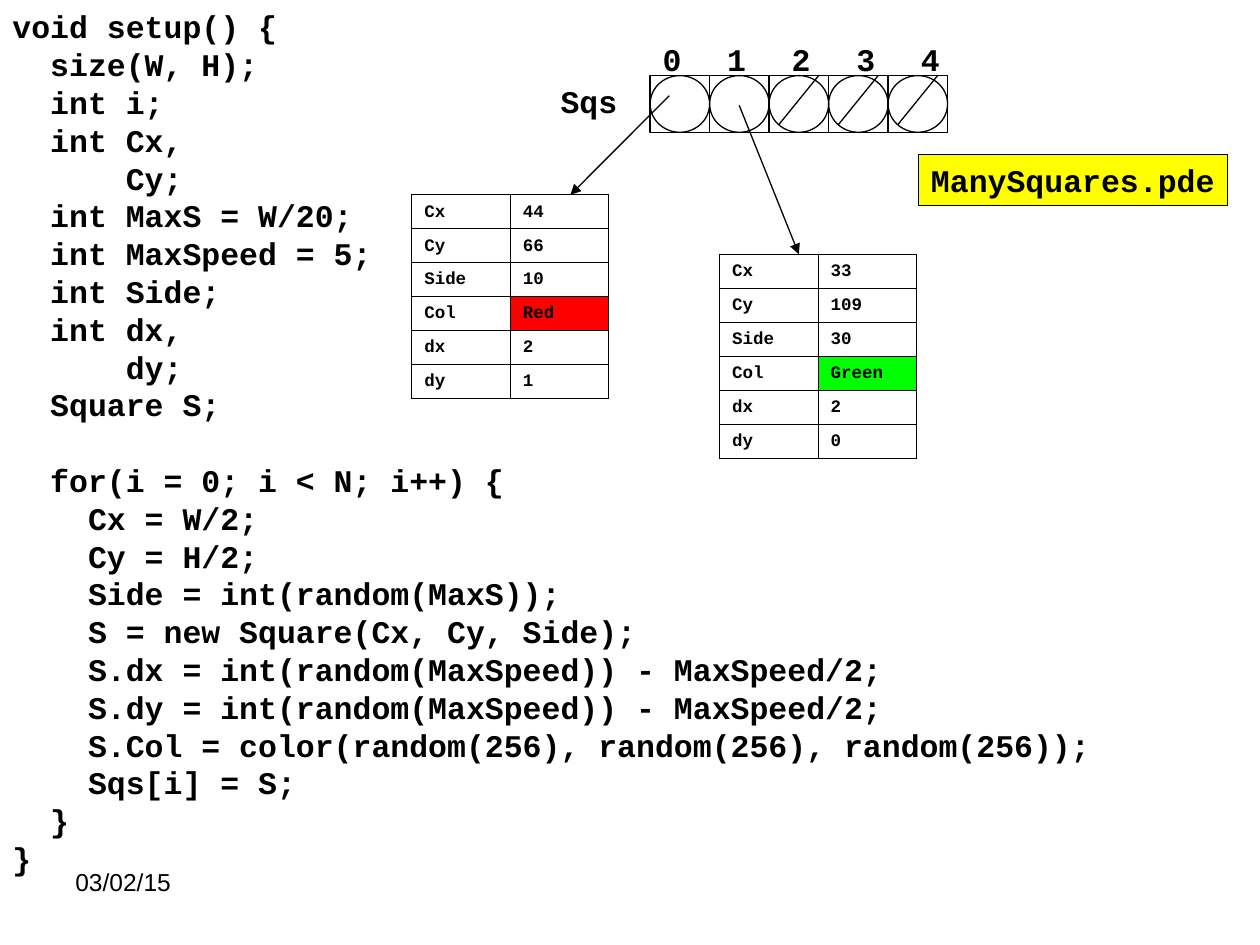
"""Build the slide on an array of squares filled by setup()."""
from dataclasses import dataclass

from lxml import etree
from pptx import Presentation
from pptx.dml.color import RGBColor
from pptx.enum.shapes import MSO_CONNECTOR, MSO_SHAPE
from pptx.enum.text import MSO_ANCHOR, MSO_AUTO_SIZE, PP_ALIGN
from pptx.oxml.ns import qn
from pptx.util import Pt

STRAIGHT = MSO_CONNECTOR.STRAIGHT
RECTANGLE, OVAL = MSO_SHAPE.RECTANGLE, MSO_SHAPE.OVAL
TOP, BOTTOM = MSO_ANCHOR.TOP, MSO_ANCHOR.BOTTOM
FIT_SHAPE, LEFT = MSO_AUTO_SIZE.SHAPE_TO_FIT_TEXT, PP_ALIGN.LEFT


@dataclass(frozen=True)
class Theme:
    """Colours, fonts and sizes in points."""
    ink: str = "000000"
    badge: str = "FFFF00"
    red: str = "FF0000"
    green: str = "00FF00"
    code_font: str = "Courier New"
    date_font: str = "Arial"
    code_size: float = 18
    date_size: float = 14
    field_size: float = 10
    code_leading: float = 21.6
    char_width: float = 10.8
    outline: float = 0.75
    border: float = 0.45


@dataclass(frozen=True)
class Box:
    """A frame in points."""
    left: float
    top: float
    width: float
    height: float

    def lengths(self) -> tuple:
        """Return the frame as slide lengths."""
        return tuple(map(Pt, (self.left, self.top, self.width, self.height)))


@dataclass(frozen=True)
class Square:
    """The field values of one Square object and its table position."""
    left: float
    top: float
    values: tuple
    colour: str


@dataclass(frozen=True)
class Line:
    """A line between two points, with or without an arrowhead."""
    start: tuple
    end: tuple
    arrow: bool = False


THEME = Theme()
FIELDS = ("Cx", "Cy", "Side", "Col", "dx", "dy")
RED_SQUARE = Square(235.3, 111.3, ("44", "66", "10", "Red", "2", "1"), THEME.red)
GREEN_SQUARE = Square(411.2, 145.3, ("33", "109", "30", "Green", "2", "0"), THEME.green)
COLUMN_WIDTH, ROW_HEIGHT = 56.3, 19.4
SLOTS = [Box(371.5 + 34 * index, 43.2, 34, 32.4) for index in range(5)]
POINTERS = (
    Line((382.5, 54.7), (326, 111.3), True),
    Line((422.4, 60.2), (456.5, 145.3), True),
)
NULL_SLASHES = [Line((slot.left + 5.5, 71.3), (slot.left + 28.3, 43.2)) for slot in SLOTS[2:]]
CODE = """void setup() {
  size(W, H);
  int i;
  int Cx,
      Cy;
  int MaxS = W/20;
  int MaxSpeed = 5;
  int Side;
  int dx,
      dy;
  Square S;

  for(i = 0; i < N; i++) {
    Cx = W/2;
    Cy = H/2;
    Side = int(random(MaxS));
    S = new Square(Cx, Cy, Side);
    S.dx = int(random(MaxSpeed)) - MaxSpeed/2;
    S.dy = int(random(MaxSpeed)) - MaxSpeed/2;
    S.Col = color(random(256), random(256), random(256));
    Sqs[i] = S;
  }
}"""


def apply(target, values: dict) -> None:
    """Set each named attribute of the target."""
    for name, value in values.items():
        setattr(target, name, value)


def write(paragraph, text: str, size: float, font: str = THEME.code_font, bold: bool = True) -> None:
    """Put one formatted run in a paragraph."""
    run = paragraph.add_run()
    run.text = text
    apply(run.font, {"size": Pt(size), "name": font, "bold": bold})
    run.font.color.rgb = RGBColor.from_string(THEME.ink)


def write_code(frame, code: str) -> None:
    """Fill a text frame with code, using indents and spacing for its layout."""
    apply(frame, {"word_wrap": False, "auto_size": FIT_SHAPE, "vertical_anchor": TOP})
    gap, paragraph = 0, None
    for line in code.splitlines():
        statement = line.lstrip()
        if not statement:
            gap += THEME.code_leading
            continue
        paragraph = frame.add_paragraph() if paragraph else frame.paragraphs[0]
        apply(paragraph, {"alignment": LEFT, "line_spacing": Pt(THEME.code_leading),
                          "space_before": Pt(gap)})
        indent = Pt(THEME.char_width * (len(line) - len(statement)))
        apply_indent = paragraph._p.get_or_add_pPr().set
        apply_indent("marL", str(indent))
        apply_indent("indent", "0")
        write(paragraph, statement, THEME.code_size)
        gap = 0


def add_code(shapes, box: Box, code: str) -> None:
    """Add a text box of code."""
    write_code(shapes.add_textbox(*box.lengths()).text_frame, code)


def add_outline(shapes, kind, box: Box, fill: str = ""):
    """Add an outlined shape, filled if a colour is given."""
    shape = shapes.add_shape(kind, *box.lengths())
    shape.shadow.inherit = False
    if fill:
        shape.fill.solid()
        shape.fill.fore_color.rgb = RGBColor.from_string(fill)
    else:
        shape.fill.background()
    shape.line.color.rgb = RGBColor.from_string(THEME.ink)
    shape.line.width = Pt(THEME.outline)
    return shape


def add_line(shapes, line: Line) -> None:
    """Add a straight line."""
    connector = shapes.add_connector(STRAIGHT, *map(Pt, line.start + line.end))
    connector.line.color.rgb = RGBColor.from_string(THEME.ink)
    connector.line.width = Pt(THEME.outline)
    properties = connector._element.spPr
    if line.arrow:
        etree.SubElement(properties.find(qn("a:ln")), qn("a:tailEnd"), type="triangle")
    etree.SubElement(properties, qn("a:effectLst"))


def add_borders(cell) -> None:
    """Draw all four borders of a table cell."""
    properties = cell._tc.get_or_add_tcPr()
    for side in ("lnL", "lnR", "lnT", "lnB"):
        border = etree.SubElement(properties, qn(f"a:{side}"), w=str(Pt(THEME.border)))
        ink = etree.SubElement(border, qn("a:solidFill"))
        etree.SubElement(ink, qn("a:srgbClr"), val=THEME.ink)


def add_square(shapes, square: Square) -> None:
    """Add the field table of a Square object."""
    box = Box(square.left, square.top, 2 * COLUMN_WIDTH, len(FIELDS) * ROW_HEIGHT)
    table = shapes.add_table(len(FIELDS), 2, *box.lengths()).table
    apply(table, {"first_row": False, "horz_banding": False})
    for row, entry in enumerate(zip(FIELDS, square.values)):
        for column, text in enumerate(entry):
            cell = table.cell(row, column)
            cell.vertical_anchor = BOTTOM
            add_borders(cell)
            if column and entry[0] == "Col":
                cell.fill.solid()
                cell.fill.fore_color.rgb = RGBColor.from_string(square.colour)
            else:
                cell.fill.background()
            write(cell.text_frame.paragraphs[0], text, THEME.field_size)


def main() -> None:
    """Build and save the slide."""
    deck = Presentation()
    apply(deck, {"slide_width": Pt(720), "slide_height": Pt(540)})
    shapes = deck.slides.add_slide(deck.slide_layouts[6]).shapes
    add_code(shapes, Box(0, 0.7, 630, 525.6), CODE)
    add_square(shapes, GREEN_SQUARE)
    array = shapes.add_group_shape().shapes
    for slot in SLOTS:
        add_outline(array, RECTANGLE, slot)
    for index in range(len(SLOTS)):
        add_code(array, Box(371.5 + 36.9 * index, 19.4, 25.2, 28.8), str(index))
    for slot in SLOTS:
        add_outline(shapes, OVAL, slot)
    add_code(shapes, Box(313.2, 43.2, 46.8, 28.8), "Sqs")
    add_square(shapes, RED_SQUARE)
    for line in (*POINTERS, *NULL_SLASHES):
        add_line(shapes, line)
    badge = add_outline(shapes, RECTANGLE, Box(524.9, 88.5, 176.4, 28.8), THEME.badge)
    write_code(badge.text_frame, "ManySquares.pde")
    date = shapes.add_textbox(*Box(36, 491.8, 167.8, 37.4).lengths()).text_frame
    date.word_wrap = True
    write(date.paragraphs[0], "03/02/15", THEME.date_size, THEME.date_font, False)
    deck.save("out.pptx")


if __name__ == "__main__":
    main()
